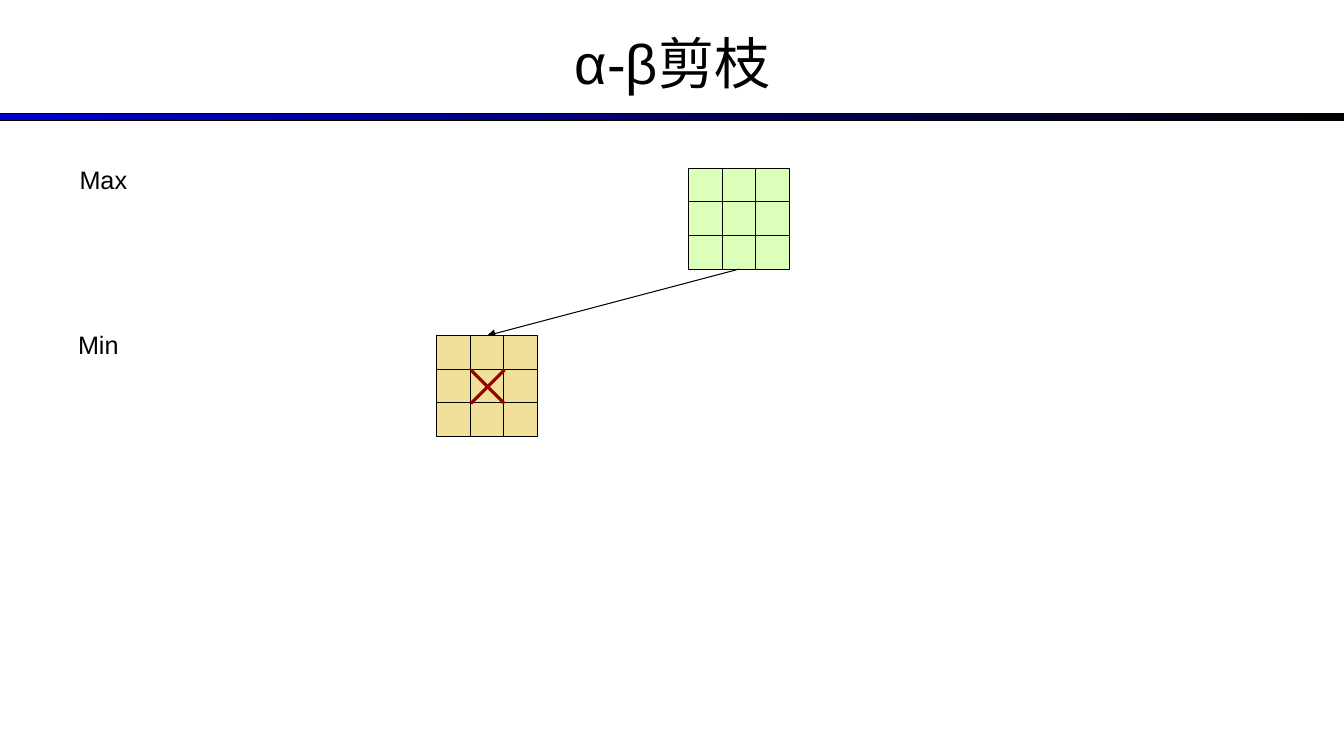
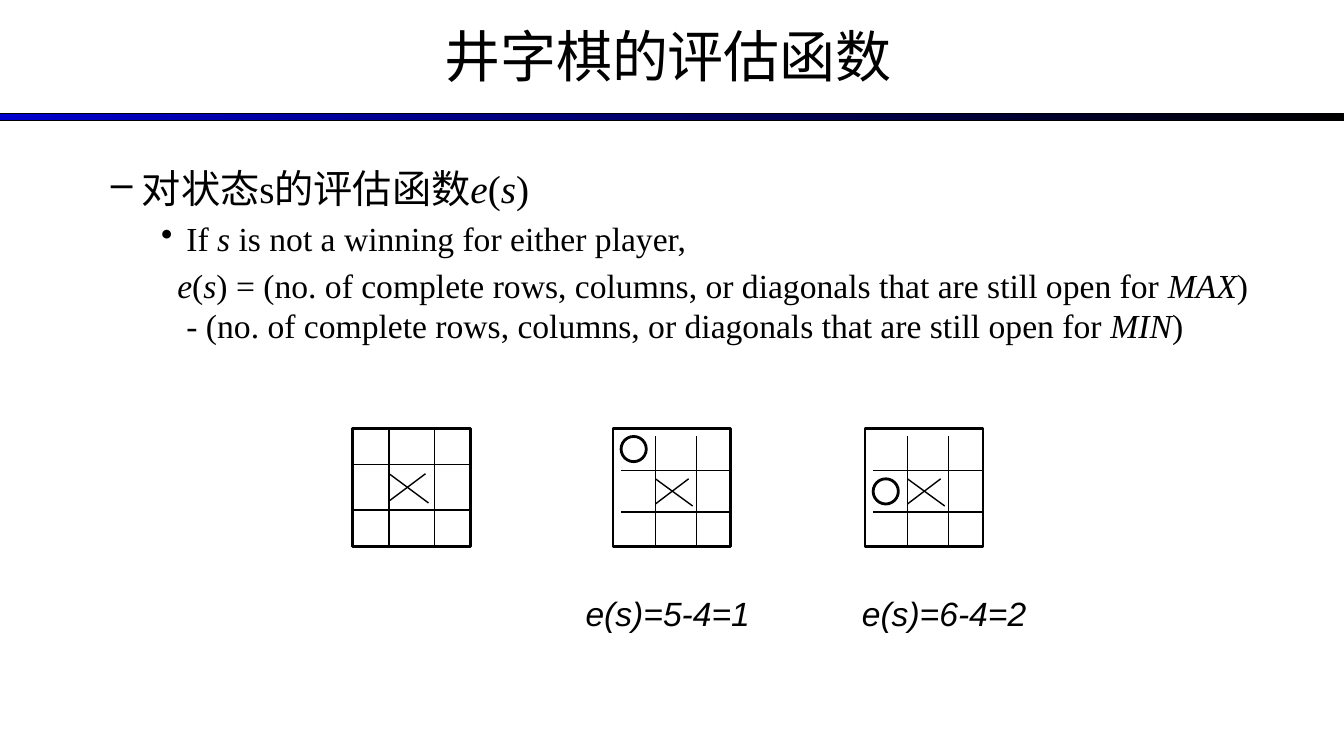
from lxml import etree
from pptx import Presentation
from pptx.dml.color import RGBColor
from pptx.enum.shapes import MSO_CONNECTOR, MSO_SHAPE
from pptx.enum.text import MSO_ANCHOR, PP_ALIGN
from pptx.oxml.ns import qn
from pptx.util import Inches, Pt

STRAIGHT = MSO_CONNECTOR.STRAIGHT
RECTANGLE = MSO_SHAPE.RECTANGLE
OVAL = MSO_SHAPE.OVAL
MIDDLE = MSO_ANCHOR.MIDDLE
TOP = MSO_ANCHOR.TOP
CENTER = PP_ALIGN.CENTER
LEFT = PP_ALIGN.LEFT

COLORS = {
    "black": "000000",
    "band": "0000CC",
    "max": "DCFFB9",
    "min": "F0E09A",
    "move": "990000",
}
SANS = "Arial"
SERIF = "Times New Roman"
SLIDE_WIDTH = 13.33
THIRDS = (1 / 3, 2 / 3)


def color(name):
    return RGBColor.from_string(COLORS[name])


def format_run(run, size, font=SANS, italic=False):
    run.font.name = font
    run.font.size = Pt(size)
    run.font.italic = italic
    run.font.color.rgb = color("black")


def add_text_box(slide, left, top, width, height, anchor=TOP):
    box = slide.shapes.add_textbox(Inches(left), Inches(top), Inches(width), Inches(height))
    box.text_frame.word_wrap = True
    box.text_frame.vertical_anchor = anchor
    return box.text_frame


def add_label(slide, text, left, top, width, height, size, align=CENTER, anchor=TOP, italic=False):
    text_frame = add_text_box(slide, left, top, width, height, anchor)
    text_frame.text = text
    paragraph = text_frame.paragraphs[0]
    paragraph.alignment = align
    format_run(paragraph.runs[0], size, italic=italic)


def add_outline(slide, kind, left, top, width, height, weight, fill=None):
    shape = slide.shapes.add_shape(kind, Inches(left), Inches(top), Inches(width), Inches(height))
    shape.shadow.inherit = False
    shape.line.color.rgb = color("black")
    shape.line.width = Pt(weight)
    if fill:
        shape.fill.solid()
        shape.fill.fore_color.rgb = color(fill)
    else:
        shape.fill.background()
    return shape


def add_line(slide, start, end, weight, line_color="black", arrow=False):
    points = [Inches(value) for value in (*start, *end)]
    connector = slide.shapes.add_connector(STRAIGHT, *points)
    connector.line.color.rgb = color(line_color)
    connector.line.width = Pt(weight)
    properties = connector.element.spPr
    if arrow:
        etree.SubElement(properties.find(qn("a:ln")), qn("a:tailEnd"), type="triangle")
    etree.SubElement(properties, qn("a:effectLst"))


def add_board(slide, left, top, size, dividers, weight, border, fill=None, inset=0):
    add_outline(slide, RECTANGLE, left, top, size, size, border, fill)
    for divider in dividers:
        column, row = left + divider, top + divider
        add_line(slide, (column, top + inset), (column, top + size), weight)
        add_line(slide, (left + inset, row), (left + size, row), weight)


def add_cross(slide, left, top, falling, rising, weight, line_color="black"):
    add_line(slide, (left, top), (left + falling[0], top + falling[1]), weight, line_color)
    add_line(slide, (left, top + rising[1]), (left + rising[0], top), weight, line_color)


def add_titled_slide(presentation, title, left, top, width, height):
    slide = presentation.slides.add_slide(presentation.slide_layouts[6])
    band = add_outline(slide, RECTANGLE, 0, 1.13, SLIDE_WIDTH, 0.07, 0.75)
    band.fill.gradient()
    band.fill.gradient_angle = 0
    for stop, name, position in zip(band.fill.gradient_stops, ("band", "black"), (0, 1)):
        stop.color.rgb = color(name)
        stop.position = position
    add_label(slide, title, left, top, width, height, 40, anchor=MIDDLE)
    return slide


def add_body_paragraph(paragraph, marked_text, size, margin, indent, bullet=None):
    paragraph.space_before = Pt(size * 0.2)
    properties = paragraph._p.get_or_add_pPr()
    properties.set("marL", str(Inches(margin)))
    properties.set("indent", str(Inches(indent)))
    if bullet:
        etree.SubElement(properties, qn("a:buChar"), char=bullet)
    for index, text in enumerate(marked_text.split("|")):
        if text:
            run = paragraph.add_run()
            run.text = text
            format_run(run, size, SERIF, italic=index % 2 == 1)


def build_pruning_slide(presentation):
    slide = add_titled_slide(presentation, "α-β剪枝", 2.17, -0.01, 9, 1.25)
    add_board(slide, 6.83, 1.67, 1, THIRDS, 0.75, 0.75, "max")
    add_line(slide, (7.33, 2.67), (4.83, 3.33), 0.75, arrow=True)
    add_board(slide, 4.33, 3.33, 1, THIRDS, 0.75, 0.75, "min")
    cell = (1 / 3, 1 / 3)
    add_cross(slide, 4.67, 3.67, cell, cell, 2.25, "move")
    add_label(slide, "Max", 0.67, 1.58, 0.71, 0.4, 18)
    add_label(slide, "Min", 0.62, 3.22, 0.71, 0.4, 18)


def build_evaluation_slide(presentation):
    slide = add_titled_slide(presentation, "井字棋的评估函数", 1.9, 0.11, 9.45, 0.87)
    body = add_text_box(slide, 0.5, 1.58, 11.99, 2.61)
    paragraphs = (
        ("对状态s的评估函数|e|(|s|)", 28, 0.81, -0.31, "–"),
        ("If |s| is not a winning for either player,", 24, 1.25, -0.25, "•"),
        (
            "|e|(|s|) = (no. of complete rows, columns, or diagonals that are still open for |MAX|)"
            " - (no. of complete rows, columns, or diagonals that are still open for |MIN|)",
            24, 1.25, -0.09, None,
        ),
    )
    for index, content in enumerate(paragraphs):
        paragraph = body.add_paragraph() if index else body.paragraphs[0]
        add_body_paragraph(paragraph, *content)

    board_top, board_size = 4.25, 1.17
    add_board(slide, 3.5, board_top, board_size, (0.36, 0.81), 1, 2)
    add_cross(slide, 3.86, 4.7, (0.39, 0.29), (0.36, 0.27), 1)

    replies = (
        (6.08, 4.33, "e(s)=5-4=1", 5.71),
        (8.58, 4.75, "e(s)=6-4=2", 8.45),
    )
    for left, circle_top, score, score_left in replies:
        add_board(slide, left, board_top, board_size, (0.42, 0.83), 1, 2, inset=0.08)
        add_cross(slide, left + 0.42, 4.75, (0.37, 0.27), (0.33, 0.25), 1)
        add_outline(slide, OVAL, left + 0.08, circle_top, 0.25, 0.25, 2)
        add_label(slide, score, score_left, 5.83, 2.5, 0.51, 24, align=LEFT, italic=True)


def main():
    presentation = Presentation()
    presentation.slide_width = Inches(SLIDE_WIDTH)
    presentation.slide_height = Inches(7.5)
    build_pruning_slide(presentation)
    build_evaluation_slide(presentation)
    presentation.save("out.pptx")


if __name__ == "__main__":
    main()
